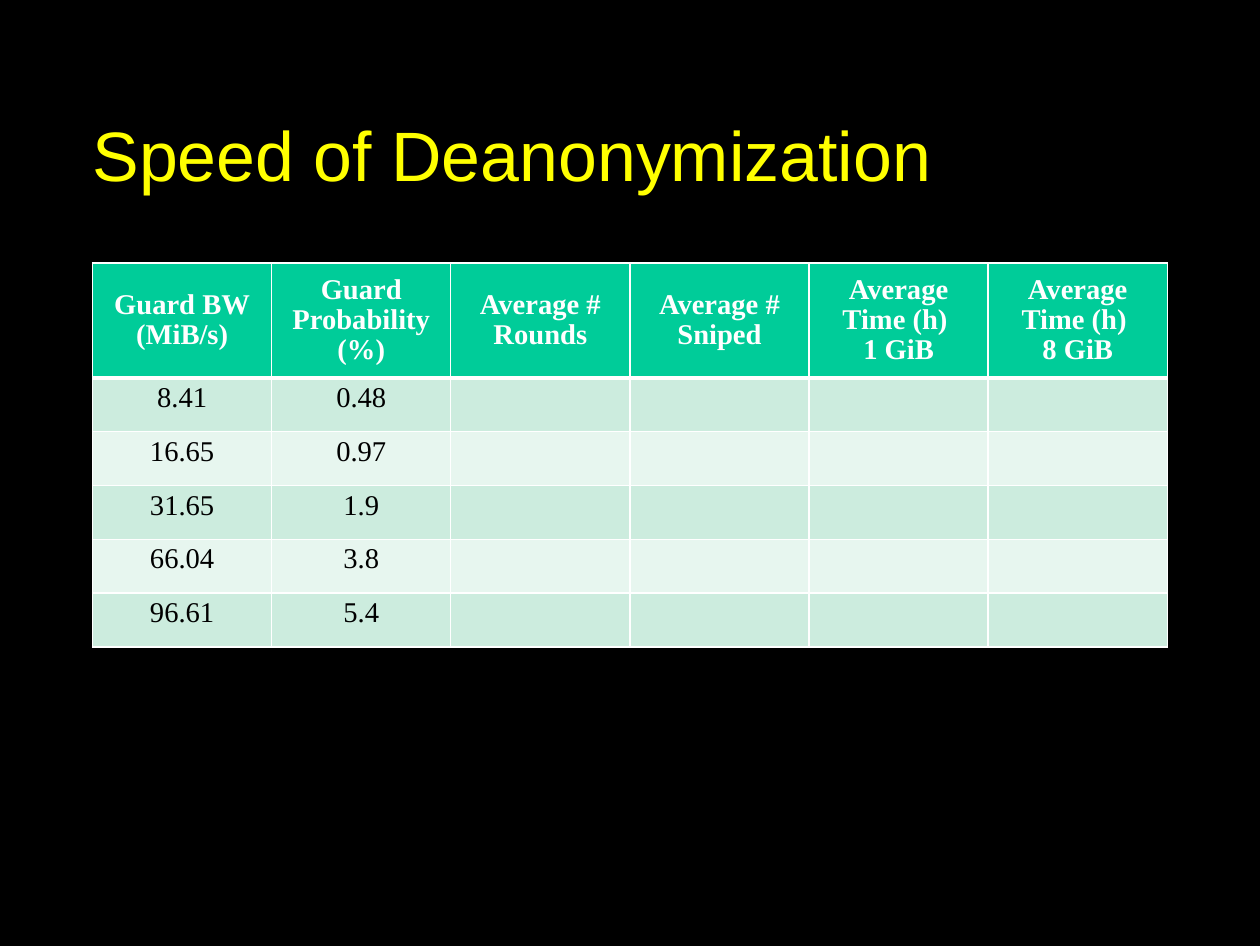
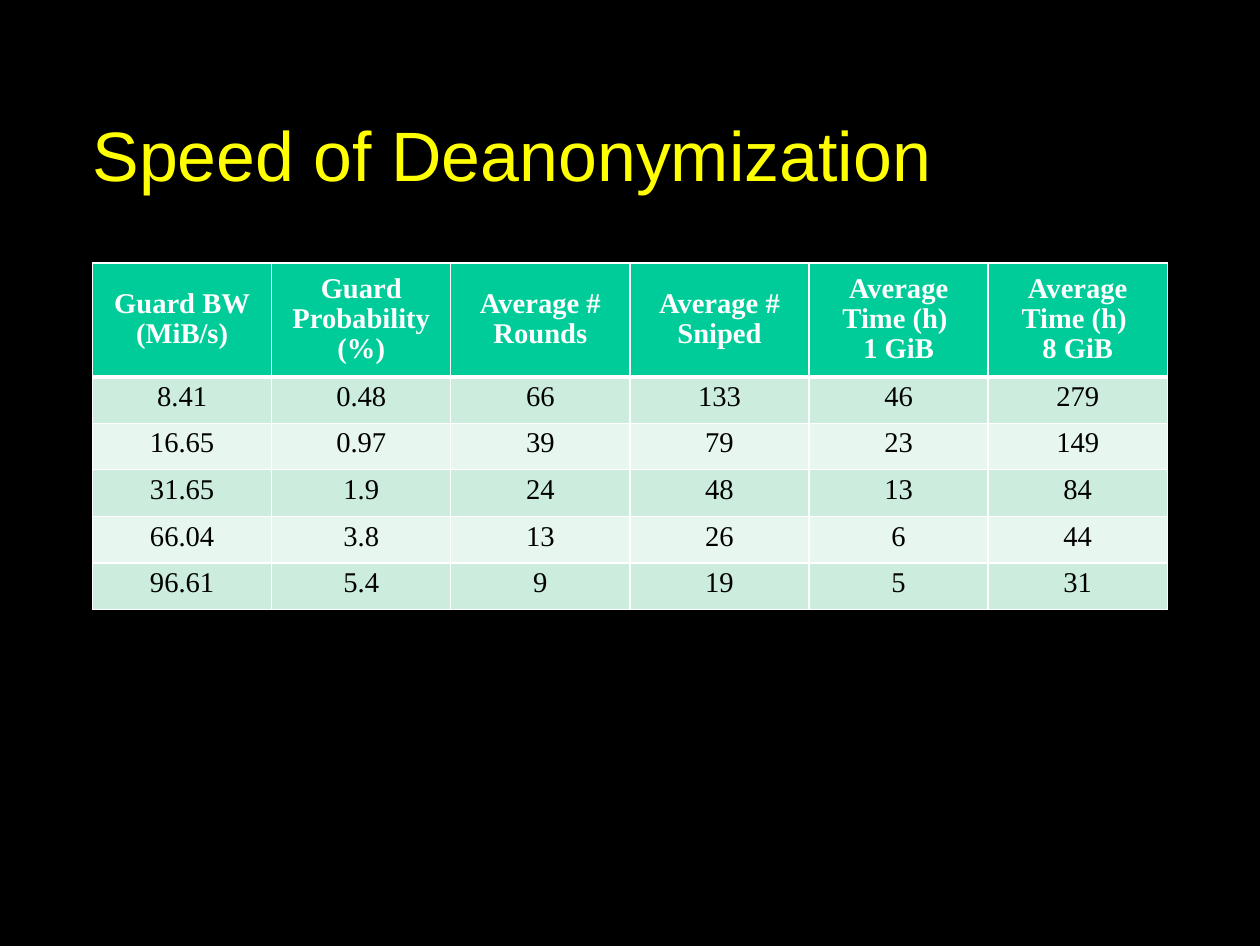
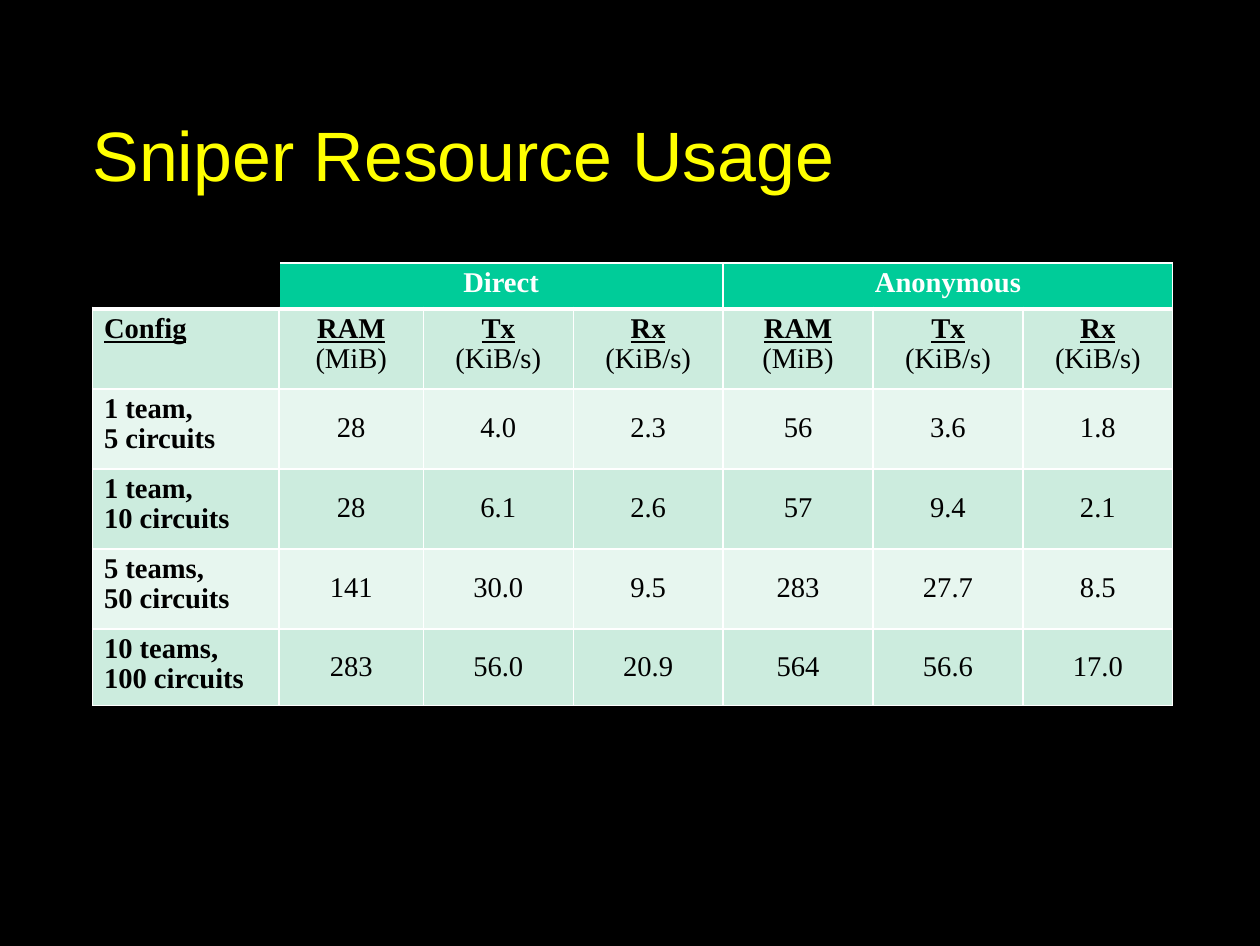
from collections import namedtuple

from lxml.etree import SubElement
from pptx import Presentation
from pptx.dml.color import RGBColor
from pptx.enum.text import MSO_ANCHOR as Anchor, PP_ALIGN as Align
from pptx.oxml.ns import qn
from pptx.util import Inches, Pt

BLACK, WHITE, YELLOW = "000000", "FFFFFF", "FFFF00"
HEADER_FILL, DARK_BAND, LIGHT_BAND = "00CC99", "CCECDE", "E7F6EF"
TITLE_FONT, TABLE_FONT = "Arial", "Times New Roman"
LINE_SPACING = 0.95
THIN, THICK = 1, 3

Box = namedtuple("Box", "left top width height")
RunStyle = namedtuple("RunStyle", "font size color bold underline")

TITLE_BOX = Box(7.35, 8.34, 85.3, 16.57)
TITLE = RunStyle(TITLE_FONT, 44, YELLOW, False, False)
HEADER = RunStyle(TABLE_FONT, 18, WHITE, True, False)
BODY = HEADER._replace(color=BLACK, bold=False)
LABEL = BODY._replace(bold=True)
MEASURE = LABEL._replace(underline=True)

SPEED_HEADERS = ["Guard BW\n(MiB/s)", "Guard Probability (%)", "Average # Rounds",
                 "Average # Sniped", "Average Time (h) \n1 GiB", "Average Time (h) \n8 GiB"]
SPEED_ROWS = [
    ["8.41", "0.48", "66", "133", "46", "279"],
    ["16.65", "0.97", "39", "79", "23", "149"],
    ["31.65", "1.9", "24", "48", "13", "84"],
    ["66.04", "3.8", "13", "26", "6", "44"],
    ["96.61", "5.4", "9", "19", "5", "31"],
]
GUARD_COLUMNS = 2

RESOURCE_GROUPS = ["Direct", "Anonymous"]
RESOURCE_MEASURES = ["RAM\v(MiB)", "Tx\v(KiB/s)", "Rx\v(KiB/s)"]
RESOURCE_ROWS = [
    ["1 team,\v5 circuits", "28", "4.0", "2.3", "56", "3.6", "1.8"],
    ["1 team,\v10 circuits", "28", "6.1", "2.6", "57", "9.4", "2.1"],
    ["5 teams,\v50 circuits", "141", "30.0", "9.5", "283", "27.7", "8.5"],
    ["10 teams,\v100 circuits", "283", "56.0", "20.9", "564", "56.6", "17.0"],
]


def rgb(color):
    return RGBColor.from_string(color)


def place(presentation, box):
    width, height = presentation.slide_width, presentation.slide_height
    return [round(share * size / 100) for share, size in zip(box, (width, height) * 2)]


def write_text(frame, text, styles, align=Align.LEFT):
    for index, part in enumerate(text.split("\n")):
        paragraph = frame.add_paragraph() if index else frame.paragraphs[0]
        paragraph.alignment = align
        paragraph.line_spacing = LINE_SPACING
        for line_index, line in enumerate(part.split("\v")):
            if line_index:
                paragraph.add_line_break()
            style = styles[min(line_index, len(styles) - 1)]
            run = paragraph.add_run()
            run.text = line
            run.font.name, run.font.size = style.font, Pt(style.size)
            run.font.bold, run.font.underline = style.bold, style.underline
            run.font.color.rgb = rgb(style.color)


def set_borders(cell, left=WHITE, right=WHITE, top=WHITE, top_width=THIN, bottom_width=THIN):
    properties = cell._tc.get_or_add_tcPr()
    sides = [("L", left, THIN), ("R", right, THIN), ("T", top, top_width), ("B", WHITE, bottom_width)]
    for index, (side, color, width) in enumerate(sides):
        line = SubElement(properties, qn(f"a:ln{side}"), w=str(Pt(width)))
        fill = SubElement(line, qn("a:solidFill"))
        SubElement(fill, qn("a:srgbClr"), val=color)
        properties.insert(index, line)


def add_title_slide(presentation, title):
    slide = presentation.slides.add_slide(presentation.slide_layouts[6])
    frame = slide.shapes.add_textbox(*place(presentation, TITLE_BOX)).text_frame
    frame.word_wrap = True
    frame.vertical_anchor = Anchor.MIDDLE
    frame.margin_left = frame.margin_right = frame.margin_top = frame.margin_bottom = 0
    write_text(frame, title, [TITLE])
    return slide


def add_banded_table(presentation, slide, box, columns, rows):
    left, top, width, height = place(presentation, box)
    table = slide.shapes.add_table(len(rows), len(columns), left, top, width, height).table
    table.first_row = table.horz_banding = False
    for column, weight in zip(table.columns, columns):
        column.width = round(width * weight / sum(columns))
    for row, weight in zip(table.rows, rows):
        row.height = round(height * weight / sum(rows))
    for row_index, row in enumerate(table.rows):
        band = DARK_BAND if row_index % 2 else LIGHT_BAND
        for cell in row.cells:
            cell.fill.solid()
            cell.fill.fore_color.rgb = rgb(band if row_index else HEADER_FILL)
            set_borders(cell, top_width=THICK if row_index == 1 else THIN,
                        bottom_width=THIN if row_index else THICK)
    return table


def add_speed_slide(presentation, box, body_height, shown_columns):
    slide = add_title_slide(presentation, "Speed of Deanonymization")
    row_heights = [1] + [body_height] * len(SPEED_ROWS)
    table = add_banded_table(presentation, slide, box, [1] * len(SPEED_HEADERS), row_heights)
    for column, text in enumerate(SPEED_HEADERS):
        cell = table.cell(0, column)
        cell.vertical_anchor = Anchor.MIDDLE
        write_text(cell.text_frame, text, [HEADER], Align.CENTER)
    for row, values in enumerate(SPEED_ROWS, 1):
        for column, value in enumerate(values[:shown_columns]):
            write_text(table.cell(row, column).text_frame, value, [BODY], Align.CENTER)


def add_resource_slide(presentation, box):
    slide = add_title_slide(presentation, "Sniper Resource Usage")
    columns = [1.63, 1.26] + [1.31] * 5
    table = add_banded_table(presentation, slide, box, columns, [0.4] + [0.7] * 4 + [0.65])

    corner = table.cell(0, 0)
    corner.fill.fore_color.rgb = rgb(BLACK)
    for border in corner._tc.tcPr.findall(qn("a:lnL")) + corner._tc.tcPr.findall(qn("a:lnR")) \
            + corner._tc.tcPr.findall(qn("a:lnT")) + table.cell(0, 1)._tc.tcPr.findall(qn("a:lnL")):
        border.find(".//" + qn("a:srgbClr")).set("val", BLACK)

    span = len(RESOURCE_MEASURES)
    for group, name in enumerate(RESOURCE_GROUPS):
        first = 1 + group * span
        table.cell(0, first).merge(table.cell(0, first + span - 1))
        write_text(table.cell(0, first).text_frame, name, [HEADER], Align.CENTER)

    write_text(table.cell(1, 0).text_frame, "Config", [MEASURE])
    for column, measure in enumerate(RESOURCE_MEASURES * len(RESOURCE_GROUPS), 1):
        write_text(table.cell(1, column).text_frame, measure, [MEASURE, BODY], Align.CENTER)

    for row, (label, *values) in enumerate(RESOURCE_ROWS, 2):
        write_text(table.cell(row, 0).text_frame, label, [LABEL])
        for column, value in enumerate(values, 1):
            cell = table.cell(row, column)
            cell.vertical_anchor = Anchor.MIDDLE
            write_text(cell.text_frame, value, [BODY], Align.CENTER)


def main():
    presentation = Presentation()
    presentation.slide_width, presentation.slide_height = Inches(11.02), Inches(8.27)
    background = presentation.slide_master.background.fill
    background.solid()
    background.fore_color.rgb = rgb(BLACK)

    table_box = Box(7.35, 27.8, 85.3, 40.6)
    add_speed_slide(presentation, table_box, 0.47, GUARD_COLUMNS)
    add_speed_slide(presentation, table_box._replace(height=36.64), 0.41, len(SPEED_HEADERS))
    add_resource_slide(presentation, table_box._replace(width=85.75, height=46.55))
    presentation.save("out.pptx")


if __name__ == "__main__":
    main()
